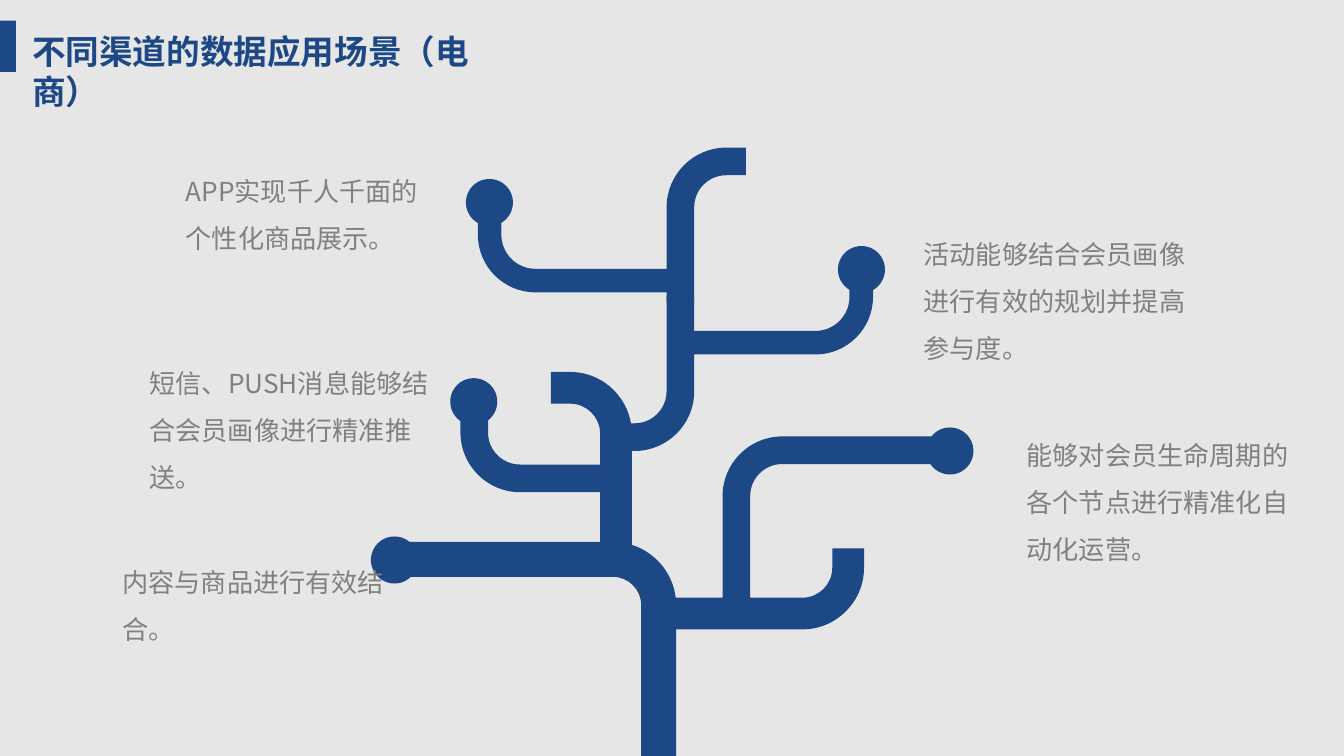
from lxml import etree
from pptx import Presentation
from pptx.dml.color import RGBColor
from pptx.enum.shapes import MSO_SHAPE
from pptx.enum.text import MSO_AUTO_SIZE
from pptx.oxml.ns import qn
from pptx.util import Pt

RECT = MSO_SHAPE.RECTANGLE
OVAL = MSO_SHAPE.OVAL
GROW = MSO_AUTO_SIZE.SHAPE_TO_FIT_TEXT
FONT = "Noto Sans CJK SC"
BLUE = "1C4885"
GRAY = "808080"
BEND = 24.5
PULL = 0.55
DOT = 25.2


def paint(shape, color):
    shape.fill.solid()
    shape.fill.fore_color.rgb = RGBColor.from_string(color)
    shape.line.fill.background()
    shape.shadow.inherit = False


def write(text, left, top, width, height, size, color, bold=False, lead=1, after=0):
    box = slide.shapes.add_textbox(Pt(left), Pt(top), Pt(width), Pt(height))
    frame = box.text_frame
    frame.word_wrap = True
    frame.auto_size = GROW
    para = frame.paragraphs[0]
    para.line_spacing = lead
    para.space_after = Pt(after)
    run = para.add_run()
    run.text = text
    run.font.size = Pt(size)
    run.font.bold = bold
    run.font.name = FONT
    run.font.color.rgb = RGBColor.from_string(color)
    east = etree.SubElement(run.font._element, qn("a:ea"))
    east.set("typeface", FONT)


deck = Presentation()
deck.slide_width = Pt(720)
deck.slide_height = Pt(405)
slide = deck.slides.add_slide(deck.slide_layouts[6])
back = slide.background.fill
back.solid()
back.fore_color.rgb = RGBColor.from_string("E7E6E6")

write("不同渠道的数据应用场景（电商）", 10.1, 13, 277, 29, 18, BLUE, bold=True)
bar = slide.shapes.add_shape(RECT, Pt(0), Pt(11.1), Pt(8.6), Pt(27.4))
paint(bar, BLUE)

# start, corner, end, thickness
pipes = [
    ((352.9, 405), (352.9, 299.7), (210.2, 299.7), 18.7),
    ((352.8, 328.7), (454.4, 328.7), (454.4, 293.8), 17),
    ((367.2, 183.6), (461.4, 183.6), (461.4, 149), 12.6),
    ((330, 300.2), (330, 207.8), (295.1, 207.8), 17),
    ((394.5, 331.9), (394.5, 241.2), (509.8, 241.2), 14.8),
    ((362.2, 150.3), (262.3, 150.3), (262.3, 115.2), 12.6),
    ((329.8, 256.3), (254.1, 256.3), (254.1, 221.8), 14.8),
    ((329.8, 234.2), (364.5, 234.2), (364.5, 158.4), 14.8),
    ((364.5, 162), (364.5, 86.5), (399.6, 86.5), 14.8),
]
for (ax, ay), (cx, cy), (bx, by), thick in pipes:
    half = thick / 2
    run_in = abs(cx - ax) + abs(cy - ay)
    run_out = abs(bx - cx) + abs(by - cy)
    ux, uy = (cx - ax) / run_in, (cy - ay) / run_in
    vx, vy = (bx - cx) / run_out, (by - cy) / run_out
    ox, oy = cx + BEND * (vx - ux), cy + BEND * (vy - uy)
    out, low = BEND + half, BEND - half
    edge = [
        (ax - vx * half, ay - vy * half),
        (ox - vx * out, oy - vy * out),
        (ox + ux * out, oy + uy * out),
        (bx + ux * half, by + uy * half),
        (bx - ux * half, by - uy * half),
        (ox + ux * low, oy + uy * low),
        (ox - vx * low, oy - vy * low),
        (ax + vx * half, ay + vy * half),
    ]
    edge = [(Pt(x), Pt(y)) for x, y in edge]
    form = slide.shapes.build_freeform(*edge[0])
    form.add_line_segments(edge[1:], close=True)
    pipe = form.convert_to_shape()
    paint(pipe, BLUE)
    lines = list(pipe._element.iter(qn("a:lnTo")))
    for end, rad in ((2, out), (6, low)):
        tip = Pt(ox + (ux - vx) * rad), Pt(oy + (uy - vy) * rad)
        curve = lines[end - 1]
        curve.tag = qn("a:cubicBezTo")
        for spot, (x, y) in enumerate(edge[end - 1:end + 1]):
            knob = etree.Element(qn("a:pt"))
            knob.set("x", str(round(x + PULL * (tip[0] - x) - pipe.left)))
            knob.set("y", str(round(y + PULL * (tip[1] - y) - pipe.top)))
            curve.insert(spot, knob)

dots = [(198.7, 287.4), (241.2, 202.6), (496.3, 229), (448.9, 131.8), (249.6, 95.9)]
for x, y in dots:
    dot = slide.shapes.add_shape(OVAL, Pt(x), Pt(y), Pt(DOT), Pt(DOT))
    paint(dot, BLUE)

notes = [
    ("内容与商品进行有效结合。", 58.5, 291.6, 160, 55.4),
    ("短信、PUSH消息能够结合会员画像进行精准推送。", 73, 185, 164, 83.5),
    ("能够对会员生命周期的各个节点进行精准化自动化运营。", 542.9, 223.4, 156.2, 83.5),
    ("活动能够结合会员画像进行有效的规划并提高参与度。", 487.7, 115.9, 161.3, 83.5),
    ("APP实现千人千面的个性化商品展示。", 92.4, 82.1, 149, 55.4),
]
for text, x, y, wide, high in notes:
    write(text, x, y, wide, high, 14, GRAY, lead=1.5, after=5.6)

deck.save("out.pptx")
